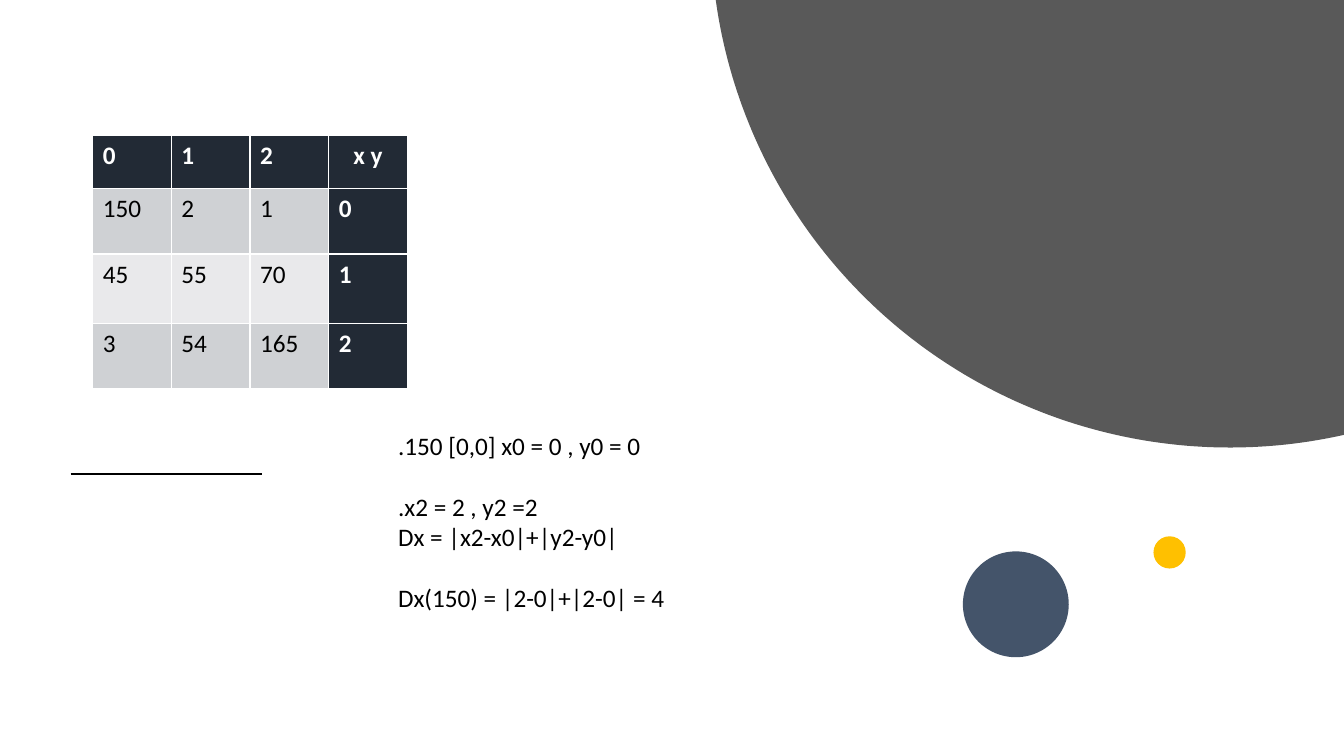
from math import acos, asin, cos, sin

from lxml.etree import SubElement
from pptx import Presentation
from pptx.dml.color import RGBColor
from pptx.enum.shapes import MSO_CONNECTOR, MSO_SHAPE
from pptx.enum.text import PP_ALIGN
from pptx.oxml.ns import qn
from pptx.util import Inches, Pt

DARK, BAND, PALE = "222A35", "CFD1D4", "E9E9EB"
BLACK, WHITE = "000000", "FFFFFF"


def rgb(value):
    return RGBColor.from_string(value)


class SlideBuilder:
    font, size = "Calibri", 18

    def __init__(self, slide):
        self.s = slide

    def style(self, p, color=BLACK, bold=False):
        p.font.name, p.font.size = self.font, Pt(self.size)
        p.font.bold, p.font.color.rgb = bold, rgb(color)

    def fill(self, sp, color):
        sp.shadow.inherit = False
        sp.fill.solid()
        sp.fill.fore_color.rgb = rgb(color)
        sp.line.fill.background()

    def circle(self, x, y, size, color):
        sp = self.s.shapes.add_shape(MSO_SHAPE.OVAL, Inches(x), Inches(y),
                                     Inches(size), Inches(size))
        self.fill(sp, color)

    def outline(self, points, color):
        pts = [(Inches(x), Inches(y)) for x, y in points]
        fb = self.s.shapes.build_freeform(*pts[0])
        fb.add_line_segments(pts[1:], close=True)
        self.fill(fb.convert_to_shape(), color)

    def line(self, x1, y1, x2, y2, color, width):
        c = self.s.shapes.add_connector(MSO_CONNECTOR.STRAIGHT, Inches(x1), Inches(y1),
                                        Inches(x2), Inches(y2))
        c.line.color.rgb, c.line.width = rgb(color), Pt(width)
        SubElement(c._element.spPr, qn("a:effectLst"))

    def text(self, x, y, w, h, lines):
        tf = self.s.shapes.add_textbox(Inches(x), Inches(y), Inches(w), Inches(h)).text_frame
        tf.word_wrap = True
        for i, (text, gap) in enumerate(lines):
            p = tf.add_paragraph() if i else tf.paragraphs[0]
            p.text, p.space_before = text, Pt(gap)
            self.style(p)

    def table(self, x, y, col_width, heights, rows):
        """Dark first row and last column; the default table style draws white borders."""
        n = len(rows[0])
        tbl = self.s.shapes.add_table(len(rows), n, Inches(x), Inches(y),
                                      Inches(col_width * n), Inches(sum(heights))).table
        for col in tbl.columns:
            col.width = Inches(col_width)
        for i, (height, values) in enumerate(zip(heights, rows)):
            tbl.rows[i].height = Inches(height)
            for j, value in enumerate(values):
                head = i == 0 or j == n - 1
                cell = tbl.cell(i, j)
                cell.text = value
                cell.fill.solid()
                cell.fill.fore_color.rgb = rgb(DARK if head else BAND if i % 2 else PALE)
                self.style(cell.text_frame.paragraphs[0], WHITE if head else BLACK, head)
        tbl.cell(0, n - 1).text_frame.paragraphs[0].alignment = PP_ALIGN.CENTER


prs = Presentation()
prs.slide_width, prs.slide_height = Inches(13.33), Inches(7.5)
b = SlideBuilder(prs.slides.add_slide(prs.slide_layouts[6]))

# Matrix with x and y indices
b.table(0.92, 1.34, 0.78, [0.53, 0.65, 0.69, 0.65], [
    ["0", "1", "2", "x y"],
    ["150", "2", "1", "0"],
    ["45", "55", "70", "1"],
    ["3", "54", "165", "2"],
])

# Large disc cut off by the top and right slide edges
cx, cy, radius, right = 12.2, -0.71, 5.15, 13.33
start, end = acos((right - cx) / radius), acos(-1) - asin(-cy / radius)
steps = 120
angles = [start + (end - start) * i / steps for i in range(steps + 1)]
arc = [(cx + radius * cos(a), cy + radius * sin(a)) for a in angles]
b.outline([(right, 0)] + arc, "595959")

# Accent line and dots
b.line(0.7, 4.7, 2.6, 4.7, BLACK, 1.5)
b.circle(9.55, 5.47, 1.05, "44546A")
b.circle(11.44, 5.32, 0.32, "FFC000")

# Distance calculation; a gap is one line high
GAP = 22
b.text(3.85, 4.22, 3.88, 1.92, [
    (".150 [0,0] x0 = 0 , y0 = 0", 0),
    (".x2 = 2 , y2 =2", GAP),
    ("Dx = |x2-x0|+|y2-y0|", 0),
    ("Dx(150) = |2-0|+|2-0| = 4", GAP),
])

prs.save("out.pptx")
